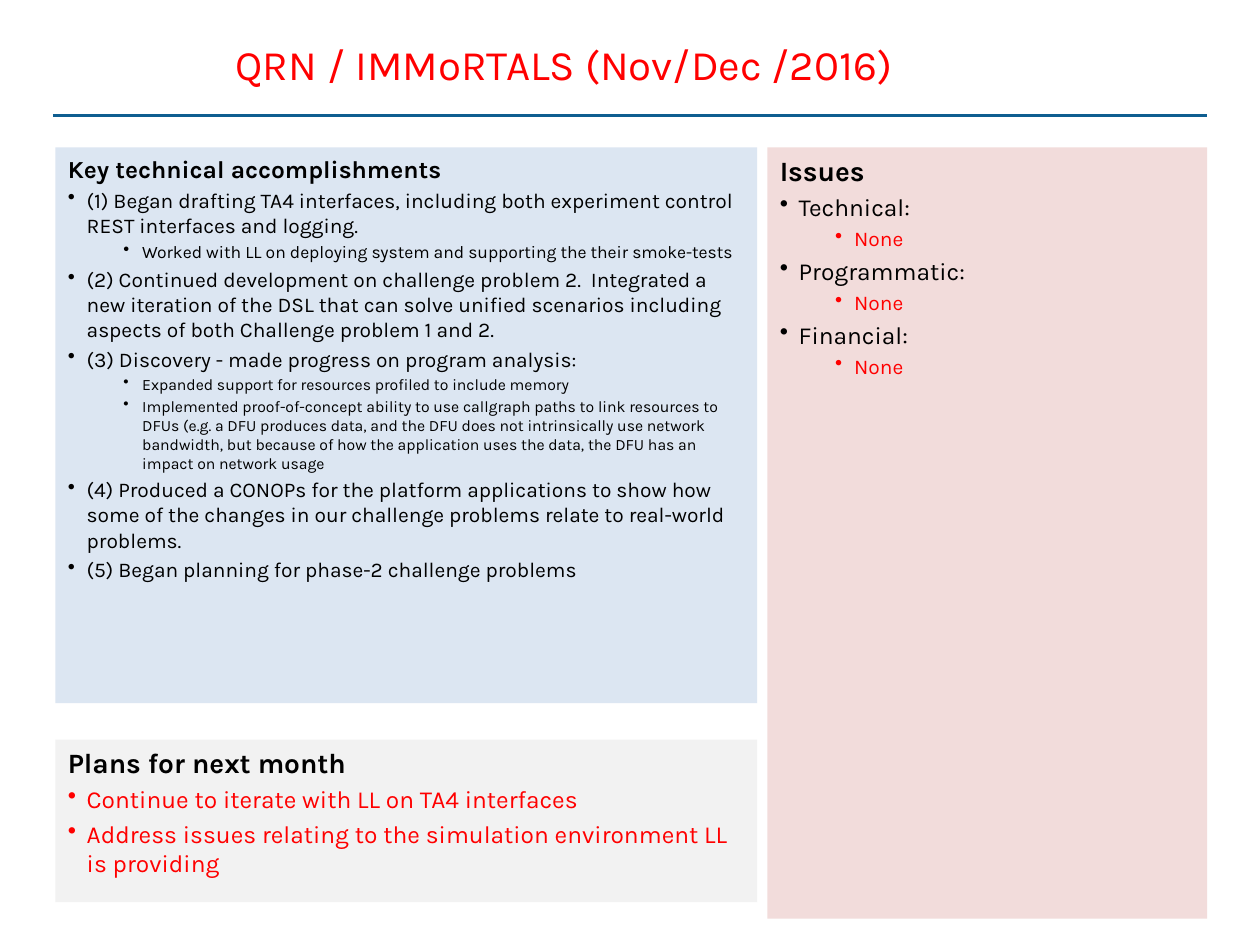
"""Build a monthly project status slide with accomplishments, plans and issues."""
from lxml import etree
from pptx import Presentation
from pptx.dml.color import RGBColor
from pptx.enum.shapes import MSO_CONNECTOR, MSO_SHAPE
from pptx.enum.text import MSO_ANCHOR, PP_ALIGN
from pptx.oxml.ns import qn
from pptx.util import Inches, Pt

RECTANGLE, STRAIGHT = MSO_SHAPE.RECTANGLE, MSO_CONNECTOR.STRAIGHT
TOP, MIDDLE, LEFT = MSO_ANCHOR.TOP, MSO_ANCHOR.MIDDLE, PP_ALIGN.LEFT
FONT = "Karla"
COLORS = {
    "black": "000000", "red": "FF0000", "rule": "0F5E90",
    "blue": "DCE6F2", "pink": "F2DCDB", "gray": "F2F2F2",
}
INDENTS = [0.15, 0.59]
HANGING = 0.15

deck = Presentation()
deck.slide_width, deck.slide_height = Inches(10), Inches(7.5)
page = deck.slides.add_slide(deck.slide_layouts[6])

left, right, gutter = 0.44, 9.58, 0.08
main_width = 5.57
side_left = left + main_width + gutter
panel_top = 1.17


def color(name):
    return RGBColor.from_string(COLORS[name])


def add_span(para, text, size, ink, bold=False):
    span = para.add_run()
    span.text = text
    span.font.name, span.font.size, span.font.bold = FONT, Pt(size), bold
    span.font.color.rgb = color(ink)


rule = page.shapes.add_connector(
    STRAIGHT, Inches(0.42), Inches(0.92), Inches(right), Inches(0.92))
rule.line.color.rgb = color("rule")
rule.line.width = Pt(1.75)
etree.SubElement(rule._element.spPr, qn("a:effectLst"))

panels = [
    ((left, panel_top, main_width, 4.41), "blue", "Key technical accomplishments", 14, [
        (0, 12, "black", "(1) Began drafting TA4 interfaces, including both experiment control "
                         "REST interfaces and logging."),
        (1, 10, "black", "Worked with LL on deploying system and supporting the their smoke-tests"),
        (0, 12, "black", "(2) Continued development on challenge problem 2.  Integrated a new "
                         "iteration of the DSL that can solve unified scenarios including aspects "
                         "of both Challenge problem 1 and 2."),
        (0, 12, "black", "(3) Discovery - made progress on program analysis:"),
        (1, 9, "black", "Expanded support for resources profiled to include memory"),
        (1, 9, "black", "Implemented proof-of-concept ability to use callgraph paths to link "
                        "resources to DFUs (e.g. a DFU produces data, and the DFU does not "
                        "intrinsically use network bandwidth, but because of how the application "
                        "uses the data, the DFU has an impact on network usage"),
        (0, 12, "black", "(4) Produced a CONOPs for the platform applications to show how some of "
                         "the changes in our challenge problems relate to real-world problems."),
        (0, 12, "black", "(5) Began planning for phase-2 challenge problems"),
    ]),
    ((side_left, panel_top, right - side_left, 6.12), "pink", "Issues", 16, [
        item
        for topic in ("Technical:", "Programmatic:", "Financial:")
        for item in ((0, 14, "black", topic), (1, 12, "red", "None"))
    ]),
    ((left, 5.87, main_width, 1.29), "gray", "Plans for next month", 16, [
        (0, 14, "red", "Continue to iterate with LL on TA4 interfaces"),
        (0, 14, "red", "Address issues relating to the simulation environment LL is providing"),
    ]),
]

for place, fill, heading, heading_size, items in panels:
    panel = page.shapes.add_shape(RECTANGLE, *map(Inches, place))
    panel.shadow.inherit = False
    panel.fill.solid()
    panel.fill.fore_color.rgb = color(fill)
    panel.line.fill.background()
    frame = panel.text_frame
    frame.word_wrap, frame.vertical_anchor = True, TOP
    para = frame.paragraphs[0]
    para.alignment = LEFT
    add_span(para, heading, heading_size, "black", bold=True)
    for level, size, ink, text in items:
        para = frame.add_paragraph()
        para.alignment, para.level = LEFT, level
        para.space_before = Pt(0.2 * size)
        properties = para._p.get_or_add_pPr()
        properties.set("marL", str(Inches(INDENTS[level])))
        properties.set("indent", str(-Inches(HANGING)))
        etree.SubElement(properties, qn("a:buChar"), char="•")
        add_span(para, text, size, ink)

title = page.shapes.add_textbox(Inches(1.77), Inches(0.17), Inches(right - 1.77), Inches(0.67))
title.text_frame.word_wrap = True
title.text_frame.vertical_anchor = MIDDLE
add_span(title.text_frame.paragraphs[0], "QRN / IMMoRTALS (Nov/Dec /2016)", 24, "red")

deck.save("out.pptx")
